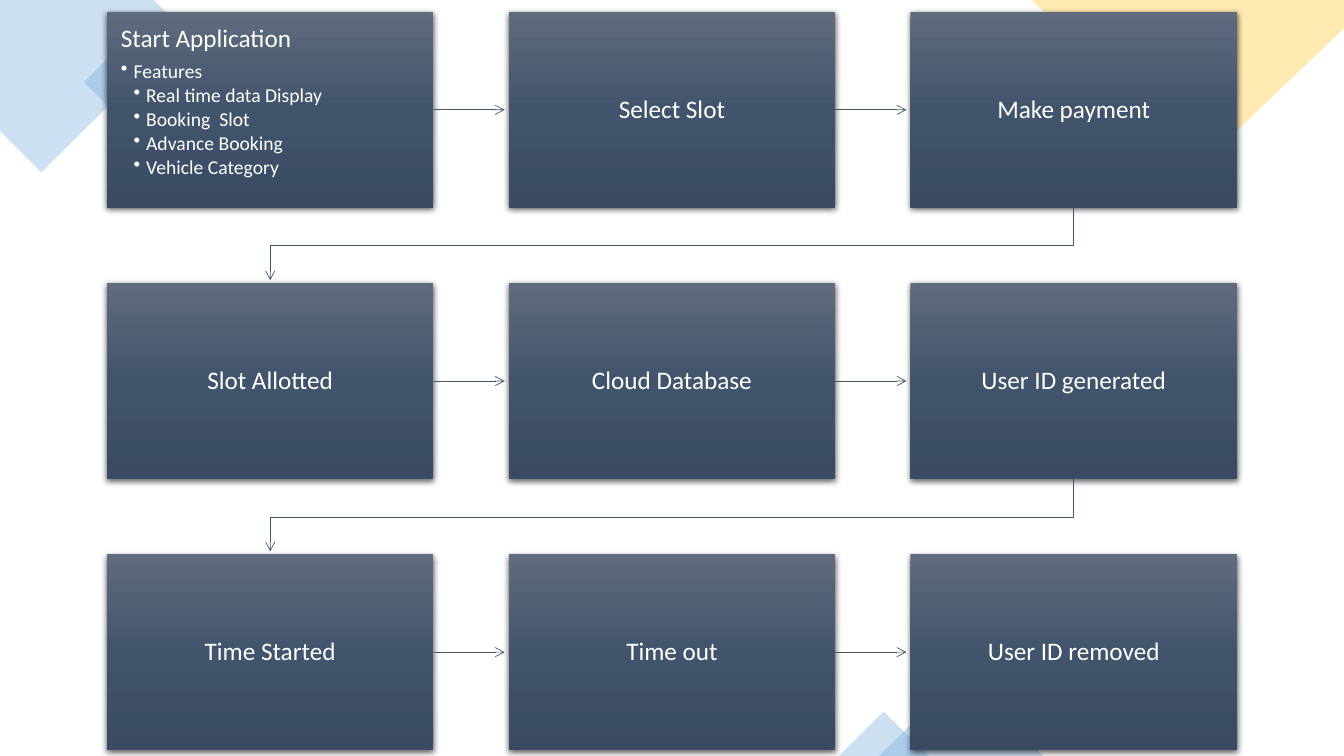
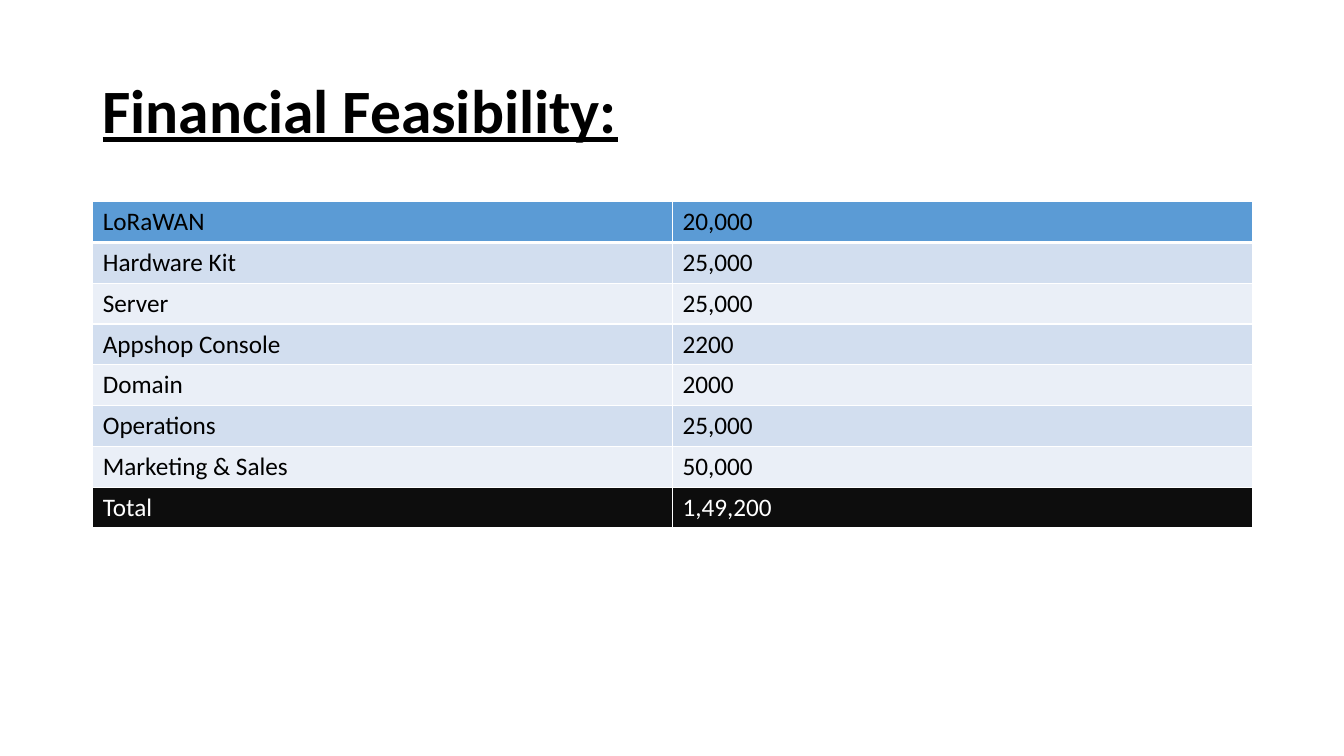
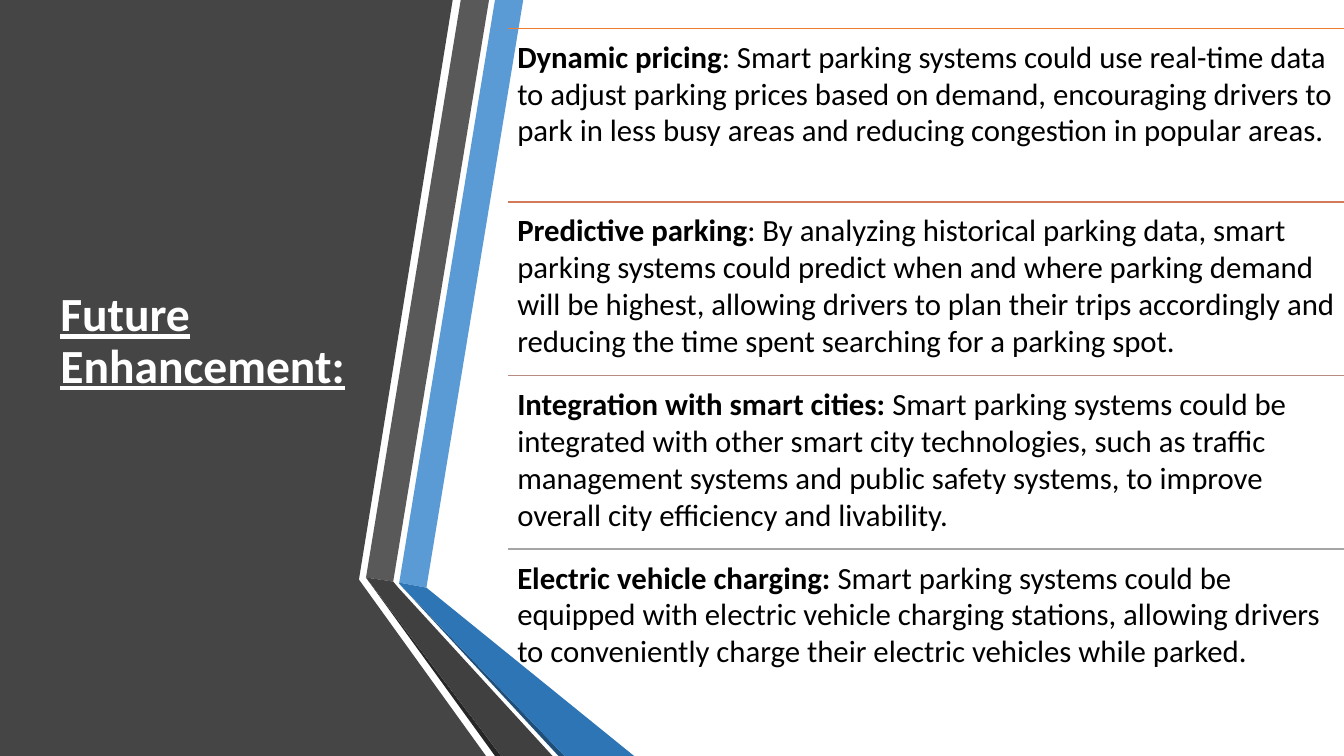
from dataclasses import dataclass

import lxml.etree
import pptx
import pptx.dml.color
import pptx.enum.dml
import pptx.enum.shapes
import pptx.enum.text
import pptx.oxml
import pptx.oxml.ns
import pptx.util

Inches = pptx.util.Inches
Pt = pptx.util.Pt
qn = pptx.oxml.ns.qn
Shapes = pptx.enum.shapes.MSO_SHAPE
Connectors = pptx.enum.shapes.MSO_CONNECTOR
Anchor = pptx.enum.text.MSO_ANCHOR
Align = pptx.enum.text.PP_ALIGN


@dataclass(frozen=True)
class Theme:
    font: str = "Calibri"
    ink: str = "000000"
    paper: str = "FFFFFF"
    blue: str = "5B9BD5"
    gold: str = "FFC000"
    arrow: str = "44546A"
    step_gradient: tuple = ((0, "606B7D"), (50, "42546C"), (100, "394A62"))
    bands: tuple = ("D2DEEF", "EAEFF7")
    total: str = "0D0D0D"
    panel: str = "454545"
    rules: tuple = ("ED7D31", "D17B5C", "B98A82", "A5A5A5")
    title_size: int = 44
    side_title_size: int = 34
    topic_size: int = 22
    body_size: int = 18
    bullet_size: int = 14
    decor_alpha: int = 30


THEME = Theme()


@dataclass(frozen=True)
class Frame:
    """A box on the page, in inches."""
    left: float
    top: float
    width: float
    height: float

    @property
    def right(self):
        return self.left + self.width

    @property
    def bottom(self):
        return self.top + self.height

    @property
    def center(self):
        return self.left + self.width / 2

    @property
    def middle(self):
        return self.top + self.height / 2

    def lengths(self):
        return [Inches(n) for n in (self.left, self.top, self.width, self.height)]


STEP_FEATURES = (
    (1, "Features"),
    (2, "Real time data Display"),
    (2, "Booking  Slot"),
    (2, "Advance Booking"),
    (2, "Vehicle Category"),
)
STEPS = (
    ("Start Application", "Select Slot", "Make payment"),
    ("Slot Allotted", "Cloud Database", "User ID generated"),
    ("Time Started", "Time out", "User ID removed"),
)
COSTS = (
    ("LoRaWAN", "20,000"),
    ("Hardware Kit", "25,000"),
    ("Server", "25,000"),
    ("Appshop Console", "2200"),
    ("Domain", "2000"),
    ("Operations", "25,000"),
    ("Marketing & Sales", "50,000"),
    ("Total", "1,49,200"),
)
TOPICS = (
    ("Dynamic pricing",
     ": Smart parking systems could use real-time data to adjust parking prices "
     "based on demand, encouraging drivers to park in less busy areas and reducing "
     "congestion in popular areas."),
    ("Predictive parking",
     ": By analyzing historical parking data, smart parking systems could predict "
     "when and where parking demand will be highest, allowing drivers to plan their "
     "trips accordingly and reducing the time spent searching for a parking spot."),
    ("Integration with smart cities:",
     " Smart parking systems could be integrated with other smart city technologies, "
     "such as traffic management systems and public safety systems, to improve "
     "overall city efficiency and livability."),
    ("Electric vehicle charging:",
     " Smart parking systems could be equipped with electric vehicle charging "
     "stations, allowing drivers to conveniently charge their electric vehicles "
     "while parked."),
)
PANEL = ((3.53, 0), (4.49, 0), (3.56, 5.75), (4.82, 7.5), (0, 7.5), (0, 0))
RIBBONS = (
    (THEME.blue, ((3.96, 5.78), (4.23, 5.83), (5.19, 0), (4.91, 0))),
    ("595959", ((4.85, 0), (4.57, 0), (3.63, 5.73), (3.9, 5.77))),
    ("262626", ((3.63, 5.73), (4.91, 7.5), (4.97, 7.5))),
    ("1F4E79", ((3.96, 5.79), (5.54, 7.5), (5.6, 7.5))),
    ("2E75B6", ((3.96, 5.79), (5.6, 7.5), (6.29, 7.5), (4.23, 5.83), (3.96, 5.78))),
    ("404040", ((5.48, 7.5), (3.95, 5.83), (3.9, 5.77), (3.63, 5.73), (4.97, 7.5))),
)


def rgb(color):
    return pptx.dml.color.RGBColor.from_string(color)


def sub(parent, tag, **attributes):
    """Append a child element such as a:ln with the given attributes."""
    child = lxml.etree.SubElement(parent, qn(tag))
    for name, value in attributes.items():
        child.set(name, str(value))
    return child


def paint(shape, color, alpha=100):
    shape.shadow.inherit = False
    shape.line.fill.background()
    shape.fill.solid()
    shape.fill.fore_color.rgb = rgb(color)
    if alpha < 100:
        sub(next(shape.element.spPr.iter(qn("a:srgbClr"))), "a:alpha", val=alpha * 1000)


def add_polygon(page, points, color, alpha=100):
    corners = [(Inches(x), Inches(y)) for x, y in points]
    builder = page.shapes.build_freeform(*corners[0], scale=1.0)
    builder.add_line_segments(corners[1:], close=True)
    paint(builder.convert_to_shape(), color, alpha)


def add_span(para, text, size, color=THEME.ink, bold=False, underline=False):
    span = para.add_run()
    span.text = text
    font = span.font
    font.name, font.size, font.color.rgb = THEME.font, Pt(size), rgb(color)
    font.bold, font.underline = bold, underline


def set_frame(text_frame, anchor, inset=None):
    text_frame.word_wrap = True
    text_frame.vertical_anchor = anchor
    if inset is not None:
        for side in ("left", "top", "right", "bottom"):
            setattr(text_frame, f"margin_{side}", Inches(inset))
    return text_frame


def add_title(page, frame, text, size, color):
    box = page.shapes.add_textbox(*frame.lengths())
    para = set_frame(box.text_frame, Anchor.MIDDLE).paragraphs[0]
    para.line_spacing = 0.9
    add_span(para, text, size, color, bold=True, underline=True)


def style_line(connector, color, width, arrow=False):
    connector.line.color.rgb = rgb(color)
    connector.line.width = Pt(width)
    if arrow:
        sub(connector.line._get_or_add_ln(), "a:tailEnd", type="arrow")
    sub(connector.element.spPr, "a:effectLst")


def add_corner_decor(page):
    def add(kind, frame, color, rotation=0):
        shape = page.shapes.add_shape(kind, *frame.lengths())
        shape.rotation = rotation
        paint(shape, color, THEME.decor_alpha)

    add_polygon(page, ((1.53, 0), (0, 0), (0, 1.3), (0.41, 1.71), (1.83, 0.3)),
                THEME.blue, THEME.decor_alpha)
    add(Shapes.RECTANGLE, Frame(0.98, 0.46, 0.71, 0.71), THEME.blue, 315)
    add(Shapes.RECTANGLE, Frame(10.98, 0.72, 0.75, 0.75), THEME.gold, 315)
    add_polygon(page, ((13.33, 0), (10.23, 0), (11.93, 1.62), (13.33, 0.28)),
                THEME.gold, THEME.decor_alpha)
    add(Shapes.ISOSCELES_TRIANGLE, Frame(8.72, 6.69, 1.63, 0.81), THEME.blue)
    add(Shapes.ISOSCELES_TRIANGLE, Frame(8.32, 7.06, 0.89, 0.44), THEME.blue)


def add_step(page, frame, label, features=()):
    """A gradient box with a centred label, or a label over bullets."""
    box = page.shapes.add_shape(Shapes.RECTANGLE, *frame.lengths())
    box.line.fill.background()
    box.fill.gradient()
    box.fill.gradient_angle = 270
    stops = next(box.element.spPr.iter(qn("a:gsLst")))
    for stop in list(stops):
        stops.remove(stop)
    for position, color in THEME.step_gradient:
        sub(sub(stops, "a:gs", pos=position * 1000), "a:srgbClr", val=color)
    shadow = sub(sub(box.element.spPr, "a:effectLst"), "a:outerShdw", blurRad=Pt(4.5),
                 dist=Pt(1.5), dir=5400000, algn="ctr", rotWithShape=0)
    sub(sub(shadow, "a:srgbClr", val=THEME.ink), "a:alpha", val=63000)

    text = set_frame(box.text_frame, Anchor.TOP if features else Anchor.MIDDLE, 0.14)
    para = text.paragraphs[0]
    para.alignment = Align.LEFT if features else Align.CENTER
    para.line_spacing = 0.9
    if features:
        para.space_after = Pt(6)
    add_span(para, label, THEME.body_size, THEME.paper)
    for level, feature in features:
        para = text.add_paragraph()
        para.alignment = Align.LEFT
        para.level = level
        para.line_spacing, para.space_after = 0.9, Pt(2)
        properties = para._p.get_or_add_pPr()
        properties.set("marL", str(Inches(0.125 * level)))
        properties.set("indent", str(-Inches(0.125)))
        sub(properties, "a:buChar", char="•")
        add_span(para, feature, THEME.bullet_size, THEME.paper)
    return box


def add_step_arrow(page, box, start, end):
    connector = page.shapes.add_connector(
        Connectors.STRAIGHT, Inches(start.right), Inches(start.middle),
        Inches(end.left - 0.04), Inches(end.middle))
    connector.begin_connect(box, 3)
    style_line(connector, THEME.arrow, 0.5, arrow=True)


def add_return_arrow(page, start, end):
    """An elbow from the bottom of one box to the top of a box at lower left."""
    across = start.center - end.center
    down = end.top - 0.03 - start.bottom
    center, middle = (start.center + end.center) / 2, start.bottom + down / 2
    connector = page.shapes.add_connector(
        Connectors.ELBOW, Inches(center - down / 2), Inches(middle - across / 2),
        Inches(center + down / 2), Inches(middle + across / 2))
    connector.element.spPr.find(qn("a:xfrm")).set("rot", "5400000")
    guides = next(connector.element.spPr.iter(qn("a:avLst")))
    sub(guides, "a:gd", name="adj1", fmla="val 52500")
    style_line(connector, THEME.arrow, 0.5, arrow=True)


def add_step_grid(page, area):
    box_width, box_height = 3.24, 1.94
    column_pitch = (area.width - box_width) / (len(STEPS[0]) - 1)
    row_pitch = (area.height - box_height) / (len(STEPS) - 1)
    previous = None
    for row, labels in enumerate(STEPS):
        for column, label in enumerate(labels):
            frame = Frame(area.left + column * column_pitch,
                          area.top + row * row_pitch, box_width, box_height)
            box = add_step(page, frame, label, () if previous else STEP_FEATURES)
            if previous and column:
                add_step_arrow(page, *previous, frame)
            elif previous:
                add_return_arrow(page, previous[1], frame)
            previous = (box, frame)


def set_borders(cell, widths):
    """Draw white borders; widths maps L, R, T and B to points."""
    properties = cell._tc.get_or_add_tcPr()
    for index, (side, width) in enumerate(widths.items()):
        line = lxml.etree.Element(qn(f"a:ln{side}"), w=str(Pt(width)))
        sub(sub(line, "a:solidFill"), "a:srgbClr", val=THEME.paper)
        properties.insert(index, line)


def add_cost_table(page, frame):
    rows = len(COSTS)
    table = page.shapes.add_table(rows, 2, *frame.lengths()).table
    table.first_row = table.horz_banding = False
    for row, values in enumerate(COSTS):
        table.rows[row].height = Inches(frame.height / rows)
        is_total = row == rows - 1
        fill = THEME.bands[(row - 1) % 2]
        if row == 0:
            fill = THEME.blue
        elif is_total:
            fill = THEME.total
        for column, value in enumerate(values):
            cell = table.cell(row, column)
            cell.fill.solid()
            cell.fill.fore_color.rgb = rgb(fill)
            set_borders(cell, {"L": 1, "R": 1, "T": 3 if row == 1 else 1,
                               "B": 3 if row == 0 else 1})
            add_span(cell.text_frame.paragraphs[0], value, THEME.body_size,
                     THEME.paper if is_total else THEME.ink)


def add_side_panel(page):
    add_polygon(page, PANEL, THEME.panel)
    for color, points in RIBBONS:
        add_polygon(page, points, color)


def add_topic(page, frame, rule_color, heading, detail):
    rule = page.shapes.add_connector(
        Connectors.STRAIGHT, Inches(frame.left), Inches(frame.top),
        Inches(frame.right), Inches(frame.top))
    style_line(rule, rule_color, 1)
    box = page.shapes.add_textbox(*frame.lengths())
    para = set_frame(box.text_frame, Anchor.TOP, 0.09).paragraphs[0]
    add_span(para, heading, THEME.topic_size, bold=True)
    add_span(para, detail, THEME.topic_size)


def add_topic_list(page, area):
    height = area.height / len(TOPICS)
    for index, (topic, color) in enumerate(zip(TOPICS, THEME.rules)):
        frame = Frame(area.left, area.top + index * height, area.width, height)
        add_topic(page, frame, color, *topic)


def build_flow_page(page):
    add_corner_decor(page)
    add_step_grid(page, Frame(1.06, 0.12, 11.21, 7.32))


def build_cost_page(page):
    add_title(page, Frame(0.92, 0.4, 11.5, 1.45), "Financial Feasibility:",
              THEME.title_size, THEME.ink)
    add_cost_table(page, Frame(0.92, 2, 11.5, 3.24))


def build_future_page(page):
    add_side_panel(page)
    add_title(page, Frame(0.5, 2.09, 4.02, 2.61), "Future Enhancement:",
              THEME.side_title_size, THEME.paper)
    add_topic_list(page, Frame(5.04, 0.28, 8.29, 6.89))


def main():
    deck = pptx.Presentation()
    deck.slide_width, deck.slide_height = Inches(13.33), Inches(7.5)
    blank = deck.slide_layouts[6]
    for build in (build_flow_page, build_cost_page, build_future_page):
        build(deck.slides.add_slide(blank))
    deck.save("out.pptx")


if __name__ == "__main__":
    main()
